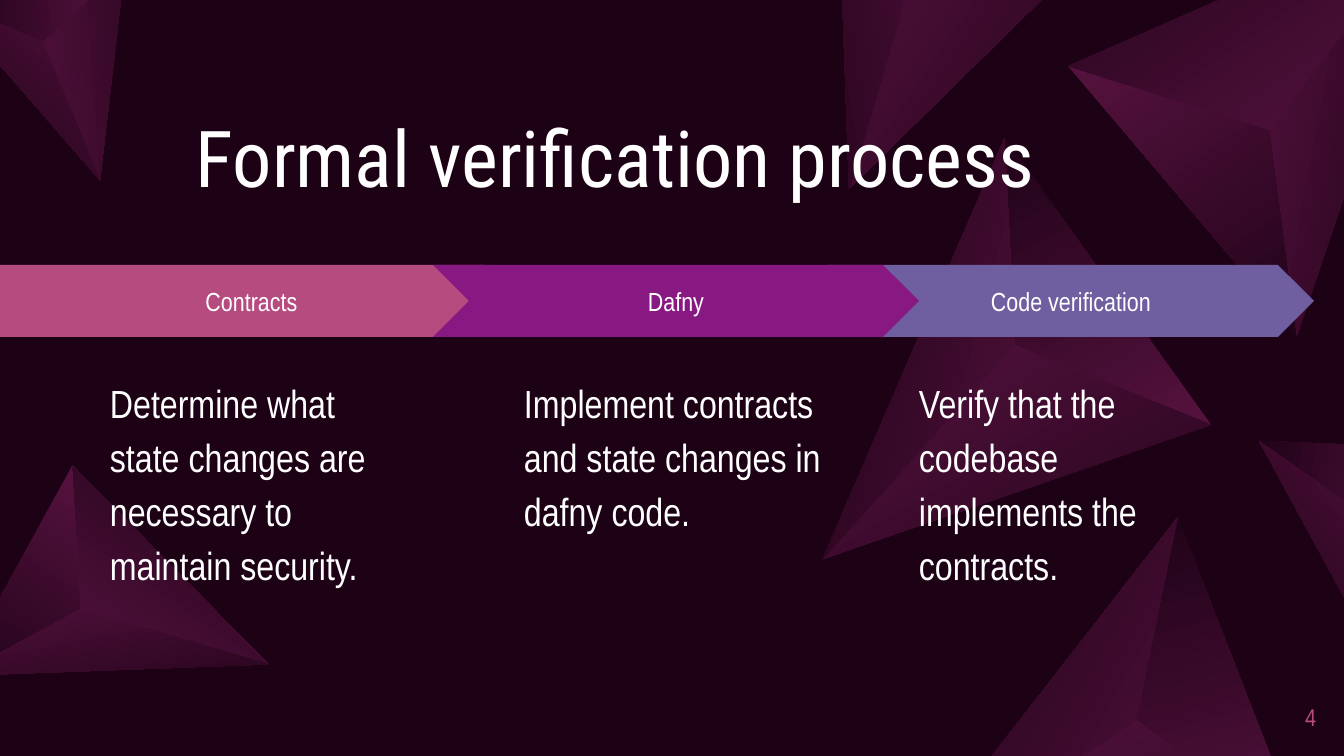
import math
from pptx import Presentation, util as u
from pptx.dml.color import RGBColor
from pptx.enum import shapes, text

SCALE = 914400 / 134.4
WIDE, HIGH = 1344, 756
LIGHT, DARK = "591341", "1D0216"
WHITE, PINK, PLUM, BLUE = "FFFFFF", "B64B7F", "881882", "705FA0"
BODY, HEAD = "Arial Narrow", "Roboto Condensed"
LEFT, CENTER, RIGHT = text.PP_ALIGN.LEFT, text.PP_ALIGN.CENTER, text.PP_ALIGN.RIGHT
TOP, MIDDLE, BOTTOM = text.MSO_ANCHOR.TOP, text.MSO_ANCHOR.MIDDLE, text.MSO_ANCHOR.BOTTOM


def px(n):
    return u.Emu(round(n * SCALE))


def color(code):
    return RGBColor.from_string(code)


def turn(point, angle):
    x, y = point
    c, s = math.cos(math.radians(angle)), math.sin(math.radians(angle))
    return x * c - y * s, x * s + y * c


def middle(points):
    return [(min(axis) + max(axis)) / 2 for axis in zip(*points)]


class Deck:
    def __init__(self):
        self.file = Presentation()
        self.file.slide_width, self.file.slide_height = px(WIDE), px(HIGH)
        self.slide = self.file.slides.add_slide(self.file.slide_layouts[6])
        fill = self.slide.background.fill
        fill.solid()
        fill.fore_color.rgb = color(DARK)

    def letter(self, shape, words, size, font=BODY, tint=WHITE, align=LEFT,
               anchor=TOP, space=1.0, inset=13):
        frame = shape.text_frame
        frame.word_wrap = True
        frame.vertical_anchor = anchor
        frame.margin_left = frame.margin_right = px(inset)
        frame.margin_top = frame.margin_bottom = px(inset)
        line = frame.paragraphs[0]
        line.text = words
        line.alignment, line.line_spacing = align, space
        line.font.size, line.font.name = u.Pt(size), font
        line.font.color.rgb = color(tint)

    def label(self, box, words, size, **style):
        shape = self.slide.shapes.add_textbox(*map(px, box))
        self.letter(shape, words, size, **style)

    def arrow(self, kind, box, fill, words):
        shape = self.slide.shapes.add_shape(kind, *map(px, box))
        shape.shadow.inherit = False
        shape.adjustments[0] = 0.5
        shape.fill.solid()
        shape.fill.fore_color.rgb = color(fill)
        shape.line.fill.background()
        self.letter(shape, words, 14, align=CENTER, anchor=MIDDLE)

    def facet(self, hub, points, spin, slant):
        page = [(hub[0] + x, hub[1] + y)
                for x, y in (turn(p, spin) for p in points)]
        xs, ys = zip(*page)
        if min(xs) >= WIDE or max(xs) <= 0 or min(ys) >= HIGH or max(ys) <= 0:
            return
        mid = middle(points)
        dx, dy = turn(mid, spin)
        left, top = hub[0] + dx - mid[0], hub[1] + dy - mid[1]
        corners = [(px(left + x), px(top + y)) for x, y in points]
        pen = self.slide.shapes.build_freeform(*corners[0])
        pen.add_line_segments(corners[1:], close=True)
        shape = pen.convert_to_shape()
        shape.rotation = spin
        shape.shadow.inherit = False
        shape.line.fill.background()
        shape.fill.gradient()
        shape.fill.gradient_angle = 360 - slant
        for stop, tint in zip(shape.fill.gradient_stops, (LIGHT, DARK)):
            stop.color.rgb = color(tint)

    def gem(self, x, y, spin, size):
        a, b, c, d = [(size * i, size * j) for i, j in
                      ((197, -64), (-26, 210), (0, 0), (-257, -130))]
        for points, slant in (((a, b, c), 315), ((b, d, c), 135), ((a, c, d), 270)):
            self.facet((x, y), points, spin, slant)


def main():
    deck = Deck()
    for gem in ((1270, 130, 100.5, 1), (81, 609, 169.6, 0.68),
                (1015, 345, 285.1, 1), (1136, 720, 299.6, 1),
                (1347, 503, 233.2, 0.52), (931, -87, 259.7, 1),
                (43, 42, 220.8, 0.52)):
        deck.gem(*gem)

    deck.label((196, 118, 952, 87), "Formal verification process", 42,
               font=HEAD, anchor=BOTTOM, space=0.9, inset=0)
    deck.label((1257, 687, 59, 59), "4", 13, tint=PINK, align=RIGHT,
               anchor=MIDDLE, inset=0)

    plate, notch = shapes.MSO_SHAPE.PENTAGON, shapes.MSO_SHAPE.CHEVRON
    steps = (
        (notch, 828, 486, 906, BLUE, "Code verification",
         "Verify that the codebase implements the contracts."),
        (plate, 0, 521, 97, PINK, "Contracts",
         "Determine what state changes are necessary to maintain security."),
        (notch, 433, 486, 511, PLUM, "Dafny",
         "Implement contracts and state changes in dafny code."),
    )
    for kind, left, width, start, fill, name, note in steps:
        deck.arrow(kind, (left, 265, width, 72), fill, name)
        deck.label((start, 359, 329, 284), note, 21, space=1.15)

    deck.file.save("out.pptx")


if __name__ == "__main__":
    main()
